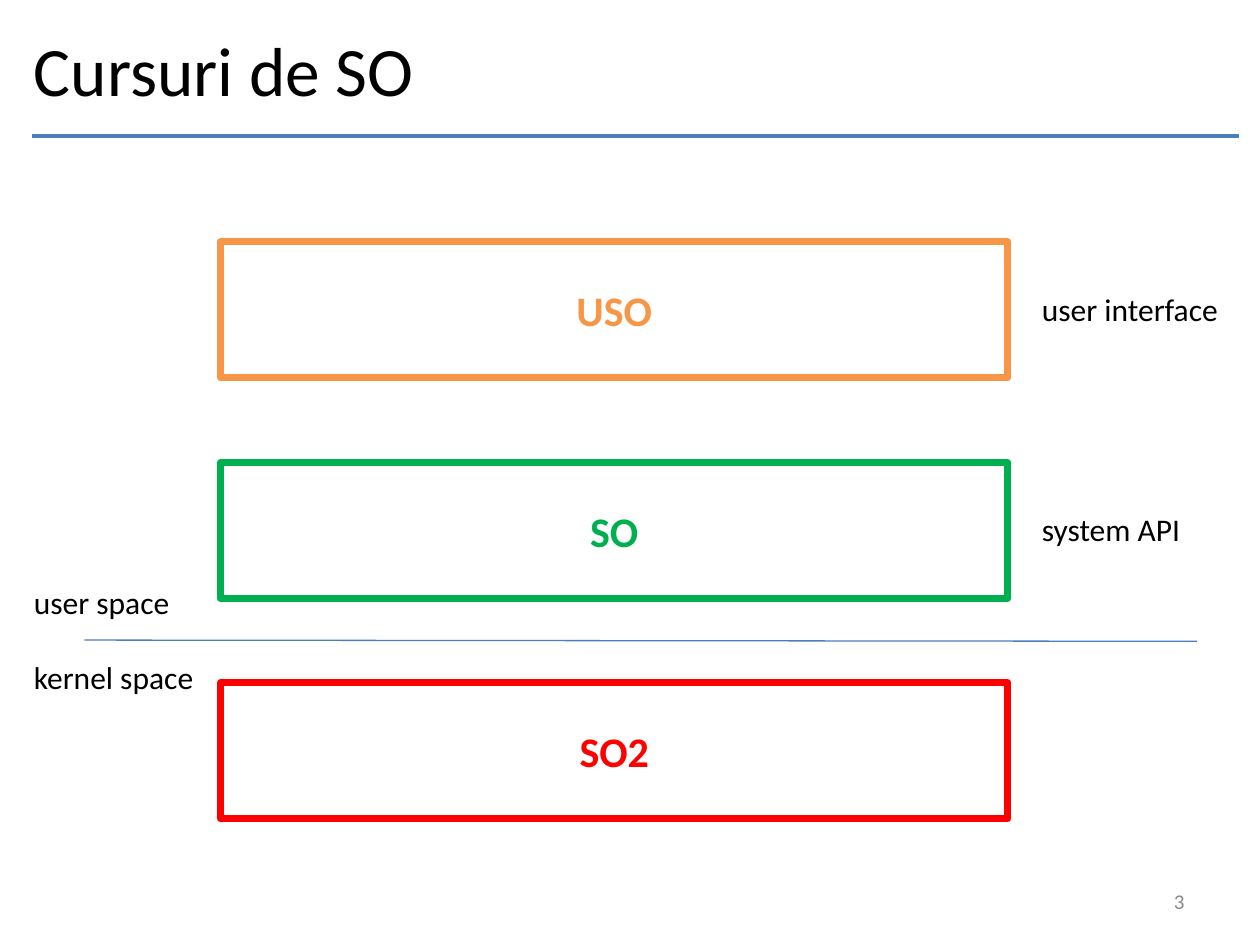
from pptx import Presentation
from pptx.dml.color import RGBColor
from pptx.enum.shapes import MSO_CONNECTOR, MSO_SHAPE
from pptx.enum.text import MSO_ANCHOR, PP_ALIGN
from pptx.oxml.ns import qn
from pptx.util import Inches, Pt
from lxml import etree

BLACK = RGBColor(0x00, 0x00, 0x00)
GRAY = RGBColor(0x89, 0x89, 0x89)
BLUE = RGBColor(0x4B, 0x7E, 0xBC)
ORANGE = RGBColor(0xF7, 0x96, 0x46)
GREEN = RGBColor(0x00, 0xB0, 0x50)
RED = RGBColor(0xFF, 0x00, 0x00)
FONT = "Calibri"

TITLE = "Cursuri de SO"
PAGE = "3"
COURSES = [
    ("USO", ORANGE, "user interface"),
    ("SO", GREEN, "system API"),
    ("SO2", RED, None),
]
SPACES = [("user space", 4.58), ("kernel space", 5.17)]

LEFT, RIGHT = 0.17, 8.17
BOX_X, BOX_Y, BOX_W, BOX_H, STEP = 1.75, 1.92, 6.25, 1.08, 1.75
LABEL_DY, LABEL_W, LABEL_H = 0.33, 1.62, 0.4


def write(sp, text, size, color, align=PP_ALIGN.LEFT, anchor=MSO_ANCHOR.MIDDLE, bold=False):
    tf = sp.text_frame
    tf.text = text
    tf.vertical_anchor = anchor
    p = tf.paragraphs[0]
    p.alignment = align
    font = p.runs[0].font
    font.name, font.size, font.bold = FONT, Pt(size), bold
    font.color.rgb = color


def add_text(s, text, x, y, w, h, size, color=BLACK, wrap=True, **style):
    sp = s.shapes.add_textbox(Inches(x), Inches(y), Inches(w), Inches(h))
    sp.text_frame.word_wrap = wrap
    write(sp, text, size, color, **style)


def add_label(s, text, x, y):
    add_text(s, text, x, y, LABEL_W, LABEL_H, 18, wrap=False, anchor=MSO_ANCHOR.TOP)


def add_line(s, x1, y1, x2, y2, width):
    ln = s.shapes.add_connector(
        MSO_CONNECTOR.STRAIGHT, Inches(x1), Inches(y1), Inches(x2), Inches(y2))
    ln.line.color.rgb = BLUE
    ln.line.width = Pt(width)
    etree.SubElement(ln._element.spPr, qn("a:effectLst"))


def add_course(s, name, color, y):
    sp = s.shapes.add_shape(
        MSO_SHAPE.RECTANGLE, Inches(BOX_X), Inches(y), Inches(BOX_W), Inches(BOX_H))
    sp.shadow.inherit = False
    sp.fill.background()
    sp.line.color.rgb = color
    sp.line.width = Pt(4)
    write(sp, name, 24, color, align=PP_ALIGN.CENTER, bold=True)


def main():
    prs = Presentation()
    prs.slide_width, prs.slide_height = Inches(10), Inches(7.5)
    s = prs.slides.add_slide(prs.slide_layouts[6])

    add_line(s, 0.25, 1.08, 9.83, 1.08, 2)
    add_text(s, TITLE, LEFT, 0.17, 8.17, 0.75, 39.6)

    for i, (name, color, label) in enumerate(COURSES):
        y = BOX_Y + i * STEP
        add_course(s, name, color, y)
        if label:
            add_label(s, label, RIGHT, y + LABEL_DY)

    add_line(s, 0.67, 5.08, 9.5, 5.09, 0.75)
    for text, y in SPACES:
        add_label(s, text, LEFT, y)

    add_text(s, PAGE, 7.17, 6.95, 2.33, 0.4, 12, GRAY, align=PP_ALIGN.RIGHT)
    prs.save("out.pptx")


if __name__ == "__main__":
    main()
